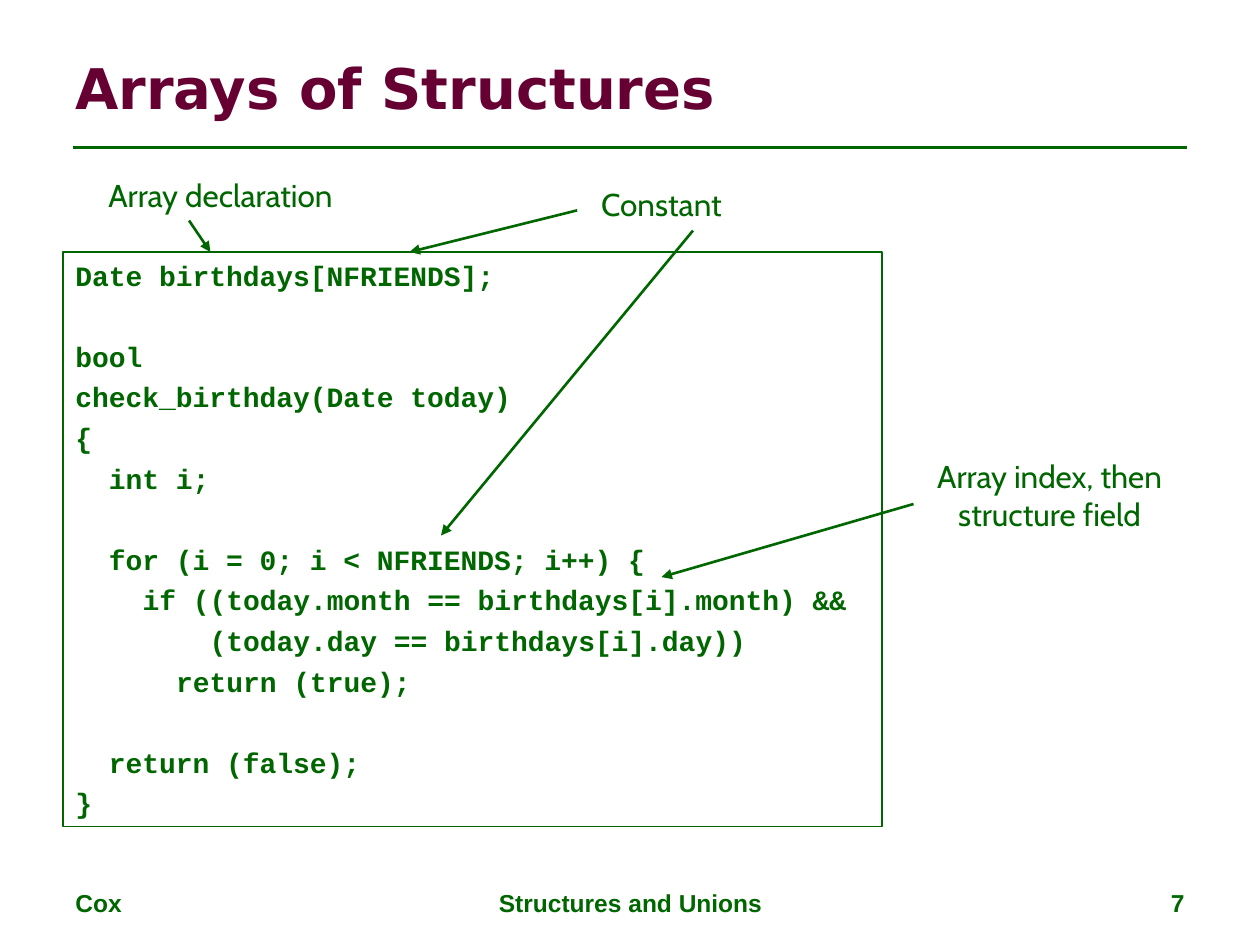
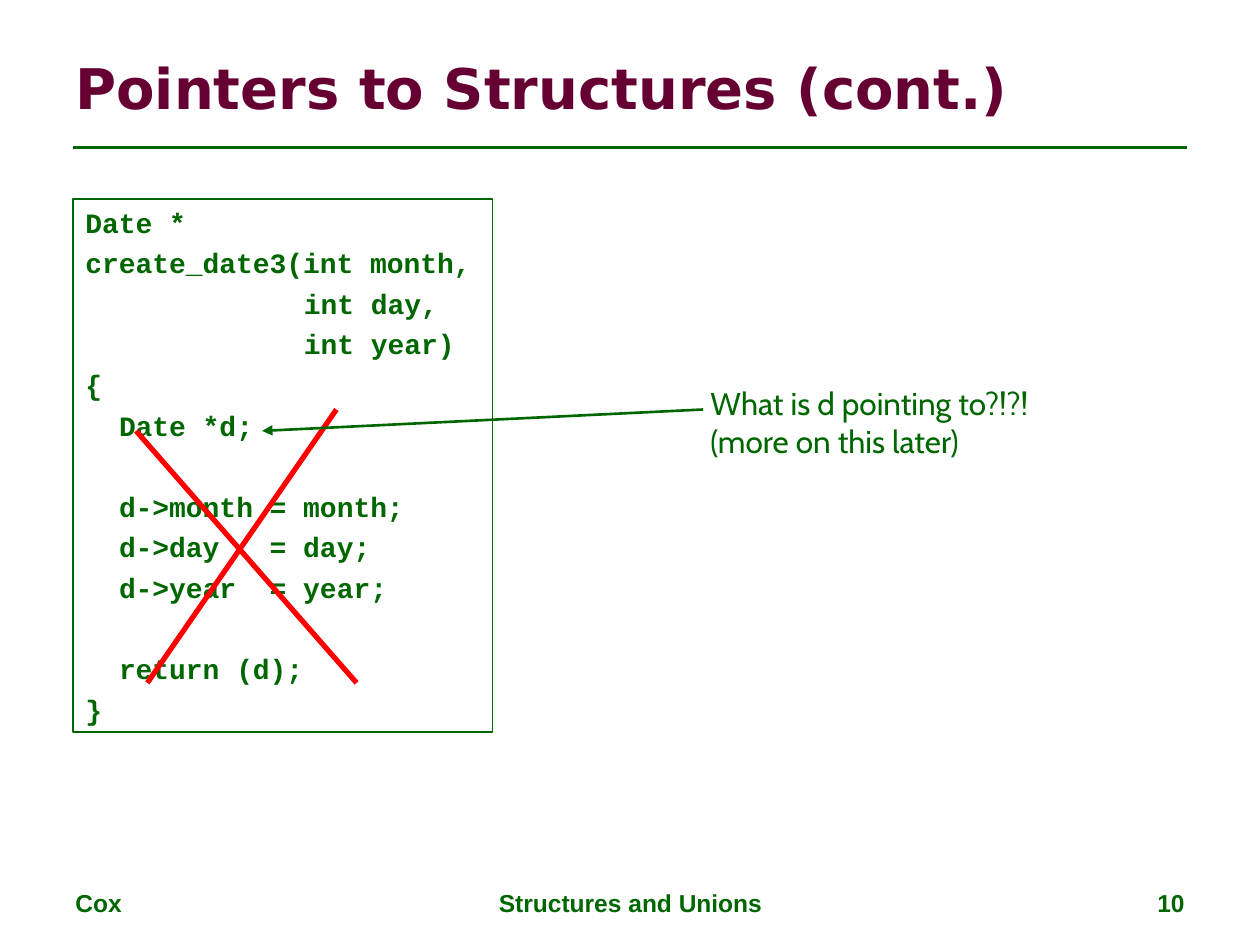
from lxml.etree import SubElement
from pptx import Presentation
from pptx.dml.color import RGBColor
from pptx.enum.shapes import MSO_CONNECTOR, MSO_SHAPE
from pptx.enum.text import MSO_ANCHOR, PP_ALIGN
from pptx.oxml.ns import qn
from pptx.util import Emu, Pt

SCALE = 9144
GREEN = "006600"
PLUM = "660033"
RED = "FF0000"
CHAR = 9.6
LINE = 19.2
GAP = 4
LEFT, MID, RIGHT = PP_ALIGN.LEFT, PP_ALIGN.CENTER, PP_ALIGN.RIGHT

ARRAY_CODE = """Date birthdays[NFRIENDS];

bool
check_birthday(Date today)
{
  int i;

  for (i = 0; i < NFRIENDS; i++) {
    if ((today.month == birthdays[i].month) &&
        (today.day == birthdays[i].day))
      return (true);

  return (false);
}"""

DATE_CODE = """Date *
create_date3(int month,
             int day,
             int year)
{
  Date *d;

  d->month = month;
  d->day   = day;
  d->year  = year;

  return (d);
}"""


def px(*values):
    return [Emu(value * SCALE) for value in values]


def paint(code):
    return RGBColor.from_string(code)


def style(frame, size, font, color=GREEN, bold=False, align=LEFT):
    for para in frame.paragraphs:
        para.alignment = align
        for run in para.runs:
            run.font.size = Pt(size)
            run.font.name = font
            run.font.bold = bold
            run.font.color.rgb = paint(color)


def add_text(slide, box, text, size, font, **look):
    frame = slide.shapes.add_textbox(*px(*box)).text_frame
    frame.word_wrap = True
    frame.text = text
    style(frame, size, font, **look)
    return frame


def add_label(slide, box, text, align=MID):
    add_text(slide, box, text, 18, "Cabin", align=align)


def add_line(slide, start, end, color=GREEN, width=1.5, arrow=False):
    line = slide.shapes.add_connector(MSO_CONNECTOR.STRAIGHT, *px(*start, *end))
    line.line.color.rgb = paint(color)
    line.line.width = Pt(width)
    if arrow:
        SubElement(line.line._get_or_add_ln(), qn("a:tailEnd"), type="triangle")
    SubElement(line._element.spPr, qn("a:effectLst"))


def add_arrow(slide, start, end):
    add_line(slide, start, end, arrow=True)


def add_code(slide, box, code):
    shape = slide.shapes.add_shape(MSO_SHAPE.RECTANGLE, *px(*box))
    shape.shadow.inherit = False
    shape.fill.background()
    shape.line.color.rgb = paint(GREEN)
    shape.line.width = Pt(0.75)
    frame = shape.text_frame
    frame.word_wrap = True
    frame.vertical_anchor = MSO_ANCHOR.TOP
    rows = code.split("\n")
    frame.text = "\n".join(row.strip() for row in rows if row)
    paras = iter(frame.paragraphs)
    skip = 0
    for row in rows:
        if not row:
            skip += 1
            continue
        para = next(paras)
        para.line_spacing = Pt(LINE)
        para.space_before = Pt(GAP + skip * (LINE + GAP))
        indent = len(row) - len(row.lstrip())
        para._p.get_or_add_pPr().set("marL", str(Pt(indent * CHAR)))
        skip = 0
    style(frame, 16, "Courier New", bold=True)


def add_page(deck, title, number):
    slide = deck.slides.add_slide(deck.slide_layouts[6])
    add_line(slide, (58, 117), (942, 117))
    head = add_text(slide, (50, 30, 900, 78), title, 32, "DejaVu Sans",
                    color=PLUM, bold=True)
    head.vertical_anchor = MSO_ANCHOR.MIDDLE
    for left, width, text, align in (
        (50, 233, "Cox", LEFT),
        (342, 317, "Structures and Unions", MID),
        (717, 233, str(number), RIGHT),
    ):
        add_text(slide, (left, 700, width, 35), text, 14, "Arial",
                 bold=True, align=align)
    return slide


def add_arrays(deck):
    slide = add_page(deck, "Arrays of Structures", 7)
    add_code(slide, (50, 200, 650, 456), ARRAY_CODE)
    add_label(slide, (450, 142, 150, 40), "Constant")
    add_label(slide, (50, 135, 250, 40), "Array declaration")
    add_label(slide, (708, 358, 250, 70), "Array index, then structure field")
    add_arrow(slide, (458, 167), (325, 200))
    add_arrow(slide, (150, 175), (167, 200))
    add_arrow(slide, (725, 400), (525, 458))
    add_arrow(slide, (550, 183), (350, 425))


def add_pointers(deck):
    slide = add_page(deck, "Pointers to Structures (cont.)", 10)
    add_code(slide, (58, 158, 333, 423), DATE_CODE)
    add_line(slide, (108, 342), (283, 542), RED, 3)
    add_line(slide, (117, 542), (267, 325), RED, 3)
    add_arrow(slide, (558, 325), (208, 342))
    add_label(slide, (554, 300, 299, 70),
              "What is d pointing to?!?!\n(more on this later)", LEFT)


def main():
    deck = Presentation()
    deck.slide_width, deck.slide_height = px(1000, 750)
    add_arrays(deck)
    add_pointers(deck)
    deck.save("out.pptx")


if __name__ == "__main__":
    main()
